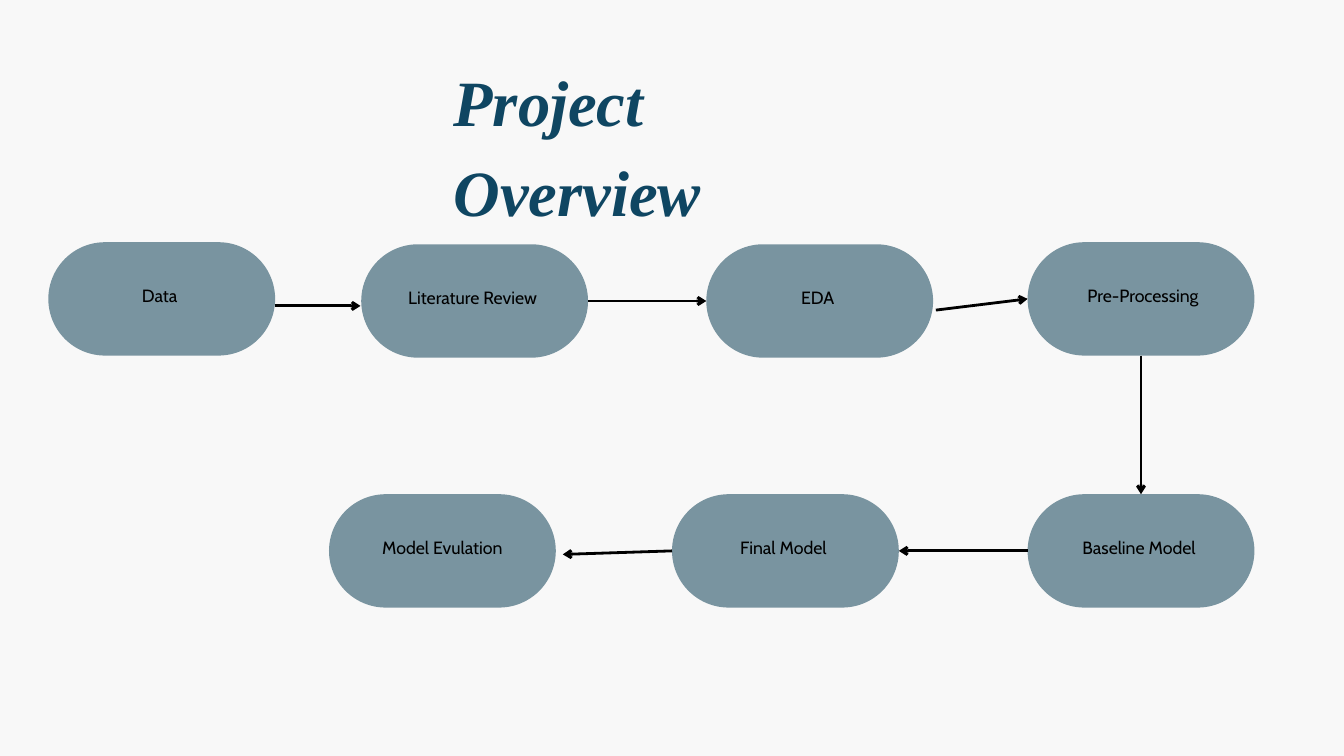
"""Build the project overview flowchart slide."""
from dataclasses import dataclass
from typing import Optional

from lxml import etree
from pptx import Presentation
from pptx import util as u
from pptx.dml.color import RGBColor
from pptx.enum import shapes, text
from pptx.oxml import ns

PX = 9525
PILL_W, PILL_H = 324, 162
TOP, LEFT, BOTTOM, RIGHT = range(4)

BACKGROUND = RGBColor(0xF8, 0xF8, 0xF8)
PILL = RGBColor(0x79, 0x94, 0xA0)
NAVY = RGBColor(0x0F, 0x46, 0x62)
BLACK = RGBColor(0, 0, 0)


@dataclass(frozen=True)
class Step:
    label: str
    x: int
    y: int


@dataclass(frozen=True)
class Joint:
    step: str
    side: int


@dataclass(frozen=True)
class Arrow:
    start: tuple[int, int]
    end: tuple[int, int]
    begin_joint: Optional[Joint] = None
    end_joint: Optional[Joint] = None


STEPS = {
    "data": Step("Data ", 69, 346),
    "review": Step("Literature Review ", 516, 349),
    "eda": Step("EDA ", 1009, 349),
    "prep": Step(" Pre-Processing", 1468, 346),
    "baseline": Step("Baseline Model ", 1468, 706),
    "final": Step("Final Model ", 960, 706),
    "evaluation": Step("Model Evulation", 470, 706),
}

ARROWS = [
    Arrow((393, 437), (515, 437)),
    Arrow((840, 430), (1009, 430), Joint("review", RIGHT), Joint("eda", LEFT)),
    Arrow((1337, 443), (1468, 427), None, Joint("prep", LEFT)),
    Arrow((1630, 508), (1630, 706), Joint("prep", BOTTOM), Joint("baseline", TOP)),
    Arrow((1468, 787), (1284, 787), Joint("baseline", LEFT), Joint("final", RIGHT)),
    Arrow((960, 787), (804, 792), Joint("final", LEFT)),
]


def px(value: int) -> u.Emu:
    return u.Emu(value * PX)


def set_insets(tf, left: int, top: int, right: int, bottom: int) -> None:
    tf.margin_left, tf.margin_top = px(left), px(top)
    tf.margin_right, tf.margin_bottom = px(right), px(bottom)


def add_text(p, words: str, font: str, size: float, color: RGBColor,
             spacing: float, align, bold: bool = False) -> None:
    p.alignment = align
    p.line_spacing = u.Pt(spacing)
    r = p.add_run()
    r.text = words
    r.font.name, r.font.size = font, u.Pt(size)
    r.font.bold = r.font.italic = bold
    r.font.color.rgb = color


def add_title(s) -> None:
    sp = s.shapes.title
    sp.left, sp.top, sp.width, sp.height = map(px, (648, 70, 596, 124))
    tf = sp.text_frame
    tf.word_wrap = True
    tf.auto_size = text.MSO_AUTO_SIZE.SHAPE_TO_FIT_TEXT
    tf.vertical_anchor = text.MSO_ANCHOR.TOP
    set_insets(tf, 0, 0, 0, 0)
    add_text(tf.paragraphs[0], "Project Overview", "Times New Roman", 69.2,
             NAVY, 96.9, text.PP_ALIGN.LEFT, bold=True)


def add_step(s, step: Step):
    sp = s.shapes.add_shape(shapes.MSO_SHAPE.ROUNDED_RECTANGLE,
                            *map(px, (step.x, step.y, PILL_W, PILL_H)))
    sp.adjustments[0] = 0.5
    sp.shadow.inherit = False
    sp.fill.solid()
    sp.fill.fore_color.rgb = PILL
    sp.line.fill.background()
    tf = sp.text_frame
    tf.word_wrap = True
    tf.vertical_anchor = text.MSO_ANCHOR.MIDDLE
    set_insets(tf, 6, 6, 6, 21)
    add_text(tf.paragraphs[0], step.label, "Cabin", 19, BLACK, 26.6,
             text.PP_ALIGN.CENTER)
    return sp


def add_arrow(s, arrow: Arrow, pills: dict) -> None:
    line = s.shapes.add_connector(shapes.MSO_CONNECTOR.STRAIGHT,
                                  *map(px, arrow.start + arrow.end))
    if arrow.begin_joint:
        line.begin_connect(pills[arrow.begin_joint.step], arrow.begin_joint.side)
    if arrow.end_joint:
        line.end_connect(pills[arrow.end_joint.step], arrow.end_joint.side)
    line.line.color.rgb = BLACK
    line.line.width = u.Pt(3)
    etree.SubElement(line.line._get_or_add_ln(), ns.qn("a:tailEnd"), type="arrow")
    etree.SubElement(line._element.spPr, ns.qn("a:effectLst"))


def main() -> None:
    prs = Presentation()
    prs.slide_width, prs.slide_height = px(1920), px(1080)
    s = prs.slides.add_slide(prs.slide_layouts.get_by_name("Title Only"))
    s.background.fill.solid()
    s.background.fill.fore_color.rgb = BACKGROUND
    add_title(s)
    pills = {name: add_step(s, step) for name, step in STEPS.items()}
    for arrow in ARROWS:
        add_arrow(s, arrow, pills)
    prs.save("out.pptx")


if __name__ == "__main__":
    main()
